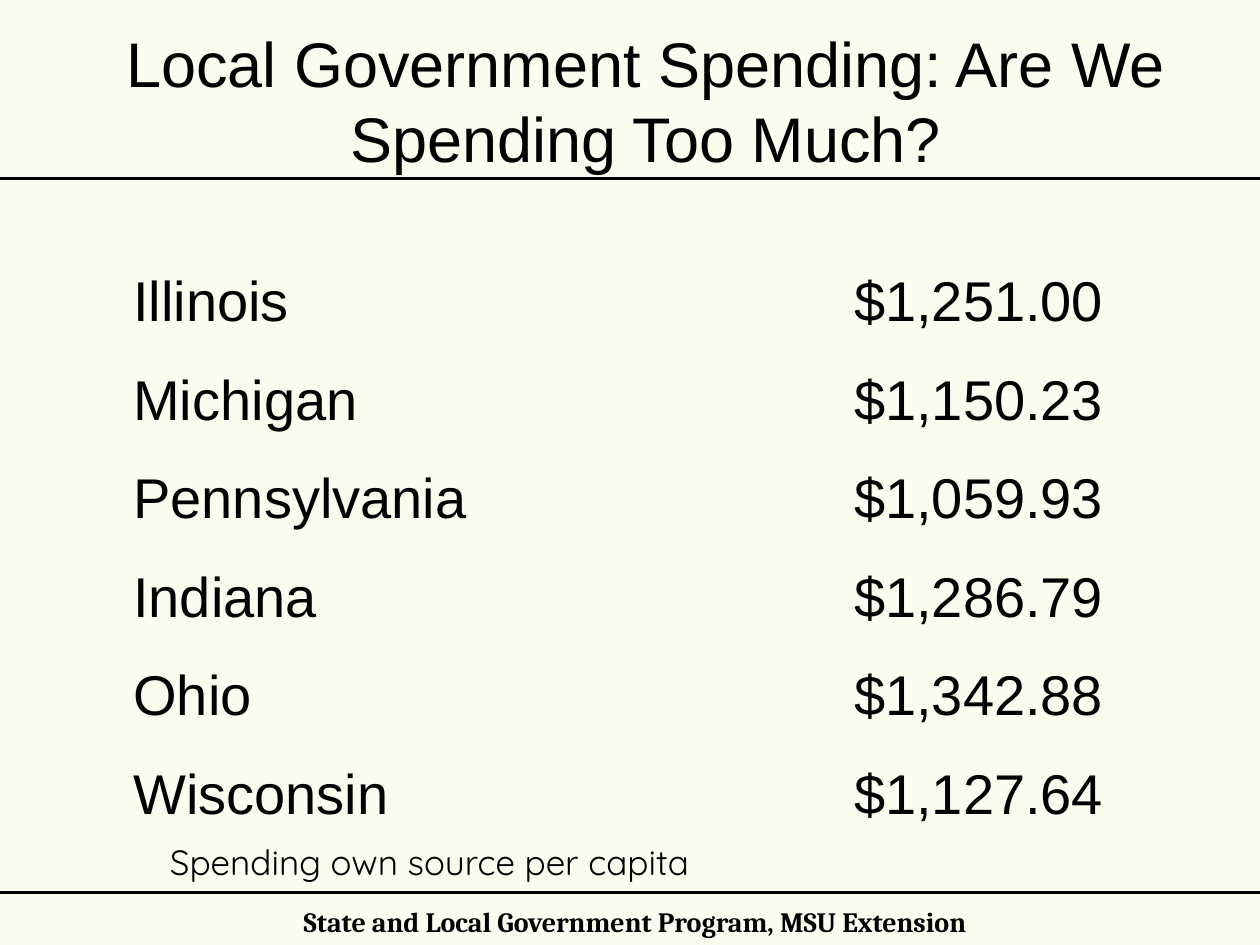
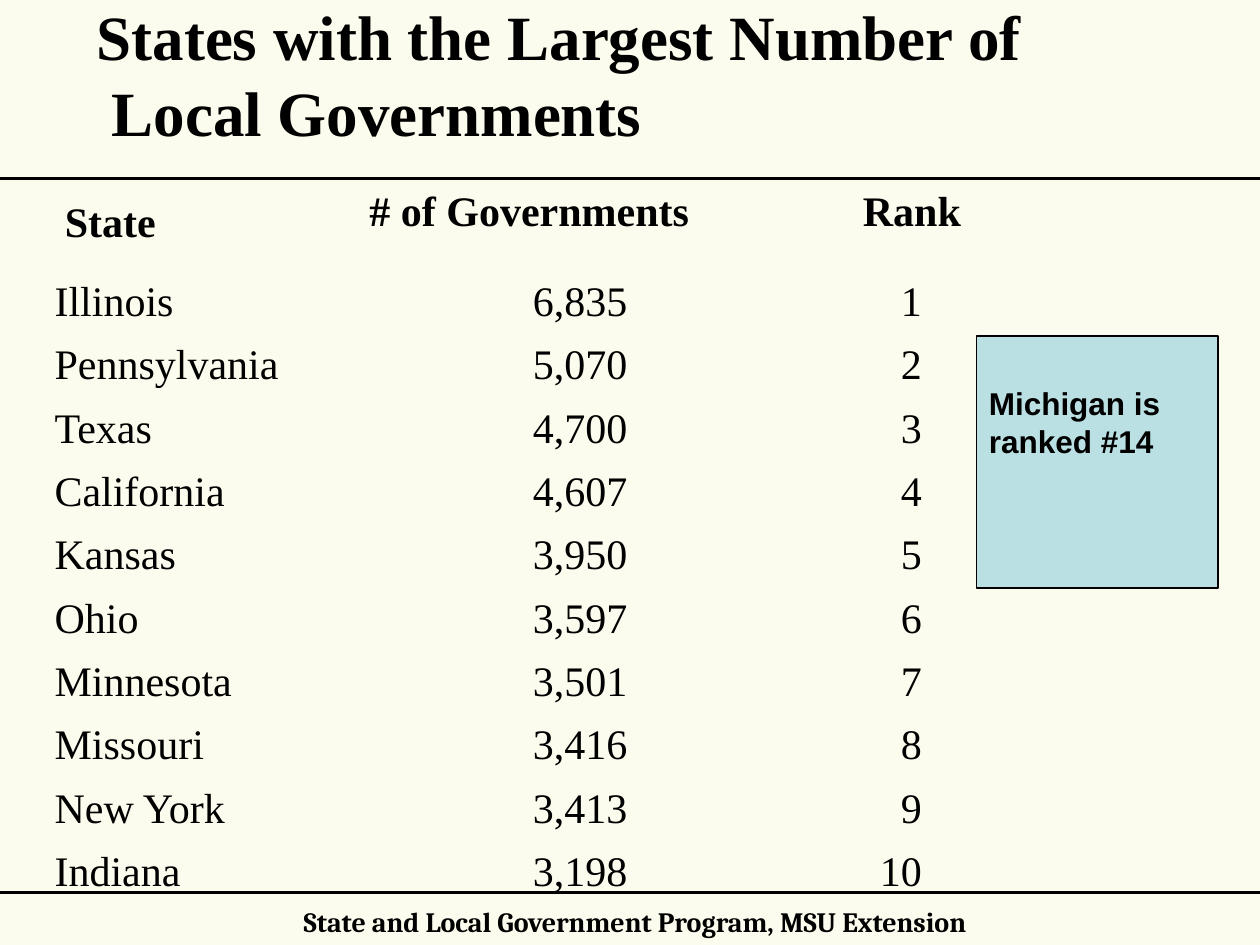
from lxml import etree
from pptx import Presentation
from pptx import util as u
from pptx.dml.color import RGBColor
from pptx.enum import shapes, text
from pptx.oxml.ns import qn

WIDTH, HEIGHT = u.Inches(10), u.Inches(7.5)
COLUMNS = 120
UNIT = WIDTH / COLUMNS
INK, PAPER, CALLOUT = "000000", "FCFCEE", "BBE0E3"
SANS, SERIF = "Arial", "Times New Roman"
NO_GRID_STYLE = "{2D5ABB26-0587-4C30-8999-92F81FD0307C}"
TITLE_RULE, FOOTER_RULE = 17, 85
LEFT, CENTER, RIGHT = text.PP_ALIGN.LEFT, text.PP_ALIGN.CENTER, text.PP_ALIGN.RIGHT
TOP, MIDDLE, BOTTOM = text.MSO_ANCHOR.TOP, text.MSO_ANCHOR.MIDDLE, text.MSO_ANCHOR.BOTTOM

SPENDING = [
    ("Illinois", "$1,251.00"),
    ("Michigan", "$1,150.23"),
    ("Pennsylvania", "$1,059.93"),
    ("Indiana", "$1,286.79"),
    ("Ohio", "$1,342.88"),
    ("Wisconsin", "$1,127.64"),
]
GOVERNMENTS = [
    ("Illinois", "6,835"),
    ("Pennsylvania", "5,070"),
    ("Texas", "4,700"),
    ("California", "4,607"),
    ("Kansas", "3,950"),
    ("Ohio", "3,597"),
    ("Minnesota", "3,501"),
    ("Missouri", "3,416"),
    ("New York", "3,413"),
    ("Indiana", "3,198"),
]


def rgb(value):
    """Turn a hex string into a colour."""
    return RGBColor.from_string(value)


def grid(*cells):
    """Turn grid cells into lengths."""
    return [u.Emu(round(cell * UNIT)) for cell in cells]


def write(frame, lines, size, font, bold=False, align=LEFT):
    """Fill a text frame with equally styled paragraphs."""
    frame.text = "\n".join(lines)
    for paragraph in frame.paragraphs:
        paragraph.alignment = align
        paragraph.font.size = u.Pt(size)
        paragraph.font.name = font
        paragraph.font.bold = bold
        paragraph.font.color.rgb = rgb(INK)


def add_label(slide, box, words, size, font, bold=False, align=LEFT, anchor=TOP, wrap=True):
    """Add a one-paragraph text box and return its frame."""
    frame = slide.shapes.add_textbox(*grid(*box)).text_frame
    frame.word_wrap = wrap
    frame.vertical_anchor = anchor
    write(frame, [words], size, font, bold, align)
    return frame


def add_rule(slide, row):
    """Draw a line across the slide at a grid row."""
    start, end, level = grid(0, COLUMNS, row)
    rule = slide.shapes.add_connector(shapes.MSO_CONNECTOR.STRAIGHT, start, level, end, level)
    rule.line.color.rgb = rgb(INK)
    rule.line.width = u.Pt(1.25)
    etree.SubElement(rule._element.spPr, qn("a:effectLst"))


def add_footer(slide, box):
    """Add the programme name below the lower rule."""
    footer = add_label(slide, box, "State and Local Government Program, MSU Extension",
                       16, "Cambria", True, CENTER)
    footer.margin_left = footer.margin_right = u.Inches(0.02)
    footer.margin_top = footer.margin_bottom = u.Inches(0.01)


def set_title(slide, box, lines, font, bold=False, align=LEFT):
    """Place and format the title placeholder."""
    title = slide.shapes.title
    title.left, title.top, title.width, title.height = grid(*box)
    frame = title.text_frame
    frame.word_wrap = True
    frame.auto_size = text.MSO_AUTO_SIZE.NONE
    frame.vertical_anchor = MIDDLE
    write(frame, lines, 36, font, bold, align)
    return frame


def add_figures(slide, box, rows, shares, size, font, anchor):
    """Add a plain table with names on the left and numbers on the right."""
    left, top, width, height = grid(*box)
    table_frame = slide.shapes.add_table(len(rows), len(shares), left, top, width, height)
    table = table_frame.table
    table.first_row = table.horz_banding = False
    table._tbl.tblPr.find(qn("a:tableStyleId")).text = NO_GRID_STYLE
    for column, share in zip(table.columns, shares):
        column.width = round(width * share)
    for r, row in enumerate(rows):
        for c, value in enumerate(row):
            cell = table.cell(r, c)
            cell.fill.background()
            cell.vertical_anchor = anchor
            write(cell.text_frame, [value], size, font, align=RIGHT if c else LEFT)


def add_callout(slide, box, words):
    """Add the tinted note with its text near the top."""
    note = slide.shapes.add_shape(shapes.MSO_SHAPE.RECTANGLE, *grid(*box))
    note.shadow.inherit = False
    note.fill.solid()
    note.fill.fore_color.rgb = rgb(CALLOUT)
    note.line.color.rgb = rgb(INK)
    note.line.width = u.Pt(0.75)
    frame = note.text_frame
    frame.word_wrap = True
    frame.vertical_anchor = TOP
    frame.margin_top = u.Inches(0.38)
    write(frame, [words], 18, SANS, True)


def add_base_slide(deck):
    """Add a title-only slide with the shared rules and footer."""
    slide = deck.slides.add_slide(deck.slide_layouts[5])
    add_footer(slide, (12, 86, 97, 3.5))
    for row in (FOOTER_RULE, TITLE_RULE):
        add_rule(slide, row)
    return slide


def add_spending_slide(deck):
    """Build the slide on spending per capita."""
    slide = add_base_slide(deck)
    set_title(slide, (9, 3, 105, 13),
              ["Local Government Spending: Are We Spending Too Much?"], SANS, align=CENTER)
    add_figures(slide, (11.5, 23, 94.8, 56.3), SPENDING, (0.57, 0.43), 32, SANS, BOTTOM)
    add_label(slide, (15, 79.5, 87, 5.25), "Spending own source per capita", 20, "Quicksand")


def add_governments_slide(deck):
    """Build the slide on the number of local governments."""
    slide = add_base_slide(deck)
    title = set_title(slide, (8, -0.8, 107, 15.6),
                      ["States with the Largest Number of", "Local Governments"], SERIF, True)
    title.paragraphs[1]._p.get_or_add_pPr().set("marL", str(u.Inches(0.12)))
    headings = [("State", 5, 18, 12), ("# of Governments", 34, TITLE_RULE, 32.8),
                ("Rank", 81, TITLE_RULE, 11.8)]
    for heading, left, top, width in headings:
        add_label(slide, (left, top, width, 6), heading, 24, SERIF, True,
                  anchor=MIDDLE, wrap=False)
    ranked = [(*row, str(rank)) for rank, row in enumerate(GOVERNMENTS, 1)]
    add_figures(slide, (4, 26, 85, 60.3), ranked, (0.32, 0.35, 0.33), 24, SERIF, TOP)
    add_callout(slide, (93, 32, 23, 24), "Michigan is ranked #14")


def main():
    """Build and save the deck."""
    deck = Presentation()
    deck.slide_width, deck.slide_height = WIDTH, HEIGHT
    background = deck.slide_master.background.fill
    background.solid()
    background.fore_color.rgb = rgb(PAPER)
    add_spending_slide(deck)
    add_governments_slide(deck)
    deck.save("out.pptx")


if __name__ == "__main__":
    main()
